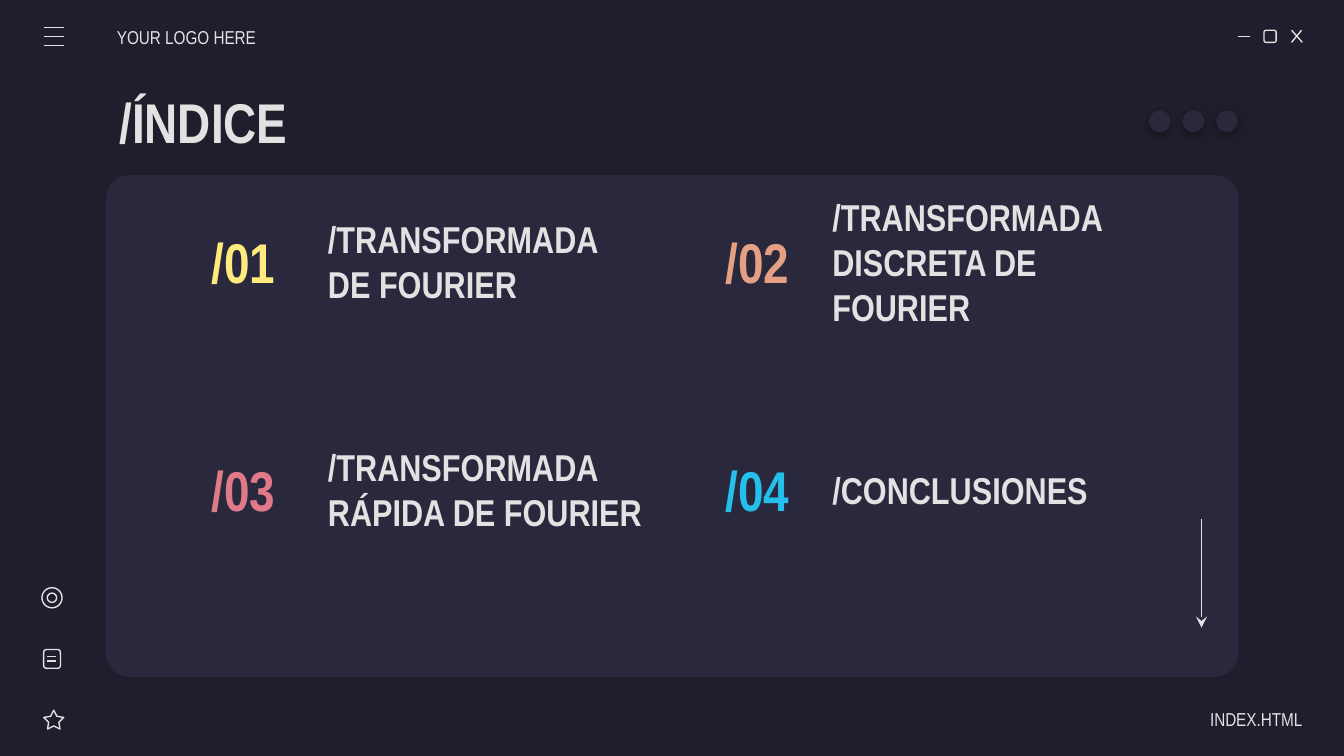
from dataclasses import dataclass

from lxml.etree import SubElement
from pptx import Presentation
from pptx.dml.color import RGBColor
from pptx.enum.shapes import MSO_CONNECTOR as Connector, MSO_SHAPE as Shape
from pptx.enum.text import MSO_ANCHOR as Anchor, PP_ALIGN as Align
from pptx.oxml.ns import qn
from pptx.util import Inches, Pt


@dataclass(frozen=True)
class Theme:
    font: str = "Arial Narrow"
    background: str = "1E1E2C"
    panel: str = "29283D"
    light: str = "E2E2E2"
    yellow: str = "FFEA7D"
    orange: str = "E5A083"
    pink: str = "E07A88"
    blue: str = "24BFEB"
    heading: int = 30
    topic: int = 20
    small: int = 10
    stroke: float = 0.75


class Page:
    """Draws on one slide; lengths count the cells of a grid 100 columns wide."""

    def __init__(self, slide, width, theme):
        self.slide, self.cell, self.theme = slide, width / 100, theme
        self.layer = slide.shapes
        fill = slide.background.fill
        fill.solid()
        fill.fore_color.rgb = RGBColor.from_string(theme.background)

    def grid(self, *cells):
        return [round(n * self.cell) for n in cells]

    def group(self):
        self.layer = self.slide.shapes.add_group_shape().shapes

    def ungroup(self):
        self.layer = self.slide.shapes

    def shape(self, kind, box, fill=None, adjust=()):
        """A filled shape, or an outlined one when no fill is given."""
        shape = self.layer.add_shape(kind, *self.grid(*box))
        shape.shadow.inherit = False
        for i, value in enumerate(adjust):
            shape.adjustments[i] = value
        if fill:
            shape.fill.solid()
            shape.fill.fore_color.rgb = RGBColor.from_string(fill)
            shape.line.fill.background()
        else:
            shape.fill.background()
            self.stroke(shape.line)
        return shape

    def stroke(self, line):
        line.color.rgb = RGBColor.from_string(self.theme.light)
        line.width = Pt(self.theme.stroke)

    def line(self, x1, y1, x2, y2, arrow=False):
        line = self.layer.add_connector(Connector.STRAIGHT, *self.grid(x1, y1, x2, y2))
        self.stroke(line.line)
        properties = line._element.spPr
        if arrow:
            SubElement(properties.find(qn("a:ln")), qn("a:tailEnd"), type="stealth")
        SubElement(properties, qn("a:effectLst"))

    def glow_dot(self, box):
        """A round dot with a soft shadow below it."""
        dot = self.shape(Shape.OVAL, box, self.theme.panel)
        effects = dot._element.spPr.find(qn("a:effectLst"))
        shadow = SubElement(effects, qn("a:outerShdw"), blurRad=str(Pt(4.5)),
                            dist=str(Pt(1.5)), dir="5400000", algn="bl", rotWithShape="0")
        black = SubElement(shadow, qn("a:srgbClr"), val="000000")
        SubElement(black, qn("a:alpha"), val="30000")

    def text(self, words, box, size, color=None, bold=True, align=Align.LEFT, left=1, right=1):
        frame = self.layer.add_textbox(*self.grid(*box)).text_frame
        frame.word_wrap = True
        frame.vertical_anchor = Anchor.MIDDLE
        frame.margin_left, frame.margin_right = self.grid(left, right)
        frame.margin_top, frame.margin_bottom = self.grid(1, 1)
        frame.text = words
        paragraph = frame.paragraphs[0]
        paragraph.alignment = align
        font = paragraph.runs[0].font
        font.name, font.size, font.bold = self.theme.font, Pt(size), bold
        font.color.rgb = RGBColor.from_string(color or self.theme.light)


def main():
    theme = Theme()
    deck = Presentation()
    deck.slide_width = Inches(10)
    deck.slide_height = deck.slide_width * 9 // 16
    page = Page(deck.slides.add_slide(deck.slide_layouts[6]), deck.slide_width, theme)

    # Content panel
    page.shape(Shape.ROUNDED_RECTANGLE, (7.9, 13.03, 84.25, 37.33), theme.panel, [0.047])

    # Window buttons: minimise, maximise, close
    page.group()
    page.line(92.1, 2.7, 93, 2.7)
    page.shape(Shape.ROUNDED_RECTANGLE, (94.05, 2.25, 0.9, 0.9))
    page.line(96.1, 2.25, 96.9, 3.15)
    page.line(96.85, 2.25, 96.1, 3.15)
    page.ungroup()

    # Index entries, two by two
    entries = [
        ("/TRANSFORMADA DE FOURIER", theme.yellow, 25.6),
        ("/TRANSFORMADA DISCRETA DE FOURIER", theme.orange, 27.4),
        ("/TRANSFORMADA RÁPIDA DE FOURIER", theme.pink, 25.6),
        ("/CONCLUSIONES", theme.blue, 25.6),
    ]
    number_columns, topic_columns = (13.55, 51.8), (23.42, 60.95)
    for i, (topic, color, width) in enumerate(entries):
        row, column = divmod(i, 2)
        top = 16.65 + 16.95 * row
        page.text(topic, (topic_columns[column], top, width, 5.6), theme.topic)
        page.text(f"/{i + 1:02}", (number_columns[column], top, 9.1, 5.6),
                  theme.heading, color, align=Align.CENTER)

    # Title and header
    page.text("/ÍNDICE", (7.9, 5.9, 84.3, 6.3), theme.heading)
    page.text("YOUR LOGO HERE", (8.7, 1.25, 11.7, 3), theme.small, bold=False, left=0)

    # Menu icon
    page.group()
    for row in range(3):
        y = 2.05 + 0.67 * row
        page.line(3.25, y, 4.75, y)

    # Side icons: star, document, target
    page.group()
    page.shape(Shape.STAR_5_POINT, (3.25, 52.85, 1.5, 1.4), adjust=[0.254, 1.051, 1.106])
    page.shape(Shape.ROUNDED_RECTANGLE, (3.25, 48.33, 1.25, 1.4))
    for y in (48.83, 49.2):
        page.line(3.5, y, 4.2, y)
    for inset in (0, 0.4):
        side = 1.5 - 2 * inset
        page.shape(Shape.OVAL, (3.12 + inset, 43.73 + inset, side, side))
    page.ungroup()

    # Footer and scroll arrow
    page.text("INDEX.HTML", (85.2, 52, 11.7, 3), theme.small, bold=False,
              align=Align.RIGHT, right=0)
    page.line(89.4, 38.6, 89.4, 46.7, arrow=True)

    # Three dots above the panel
    page.group()
    for column in range(3):
        page.glow_dot((90.5 - 2.5 * column, 8.23, 1.6, 1.6))

    deck.save("out.pptx")


if __name__ == "__main__":
    main()
